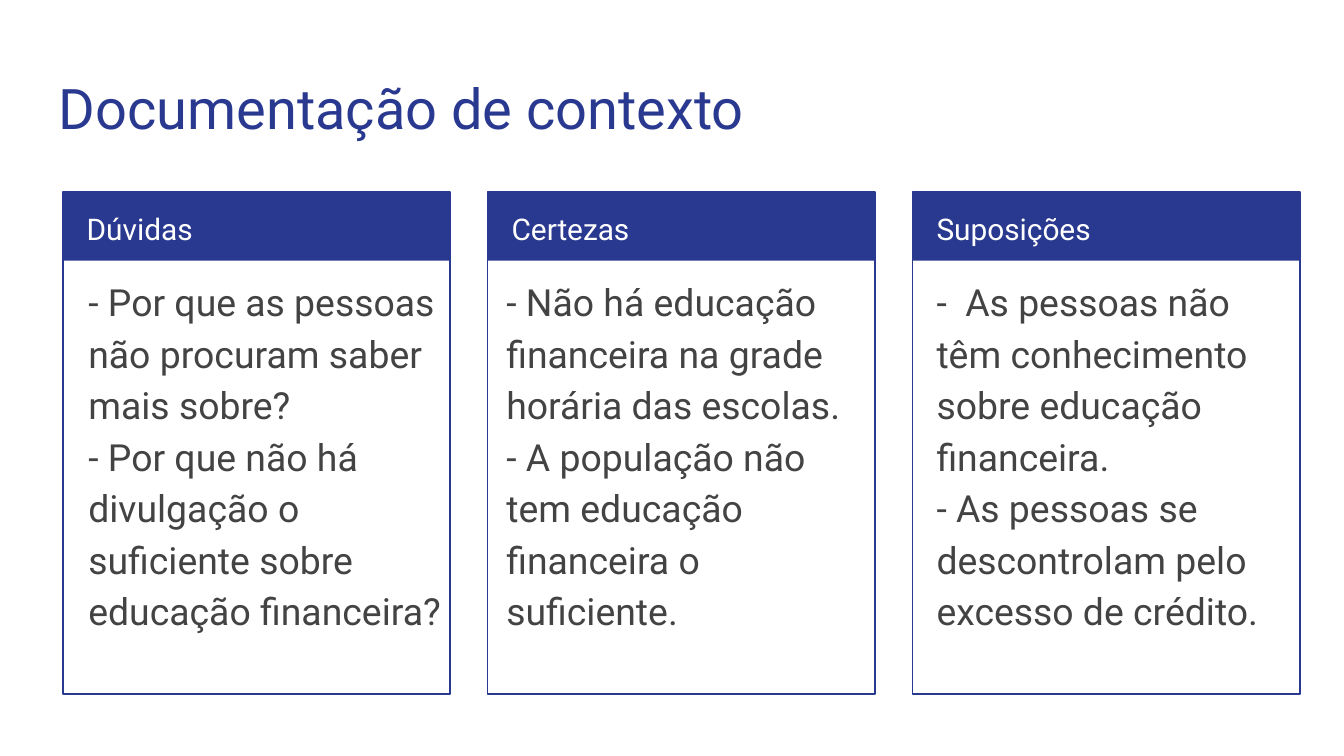
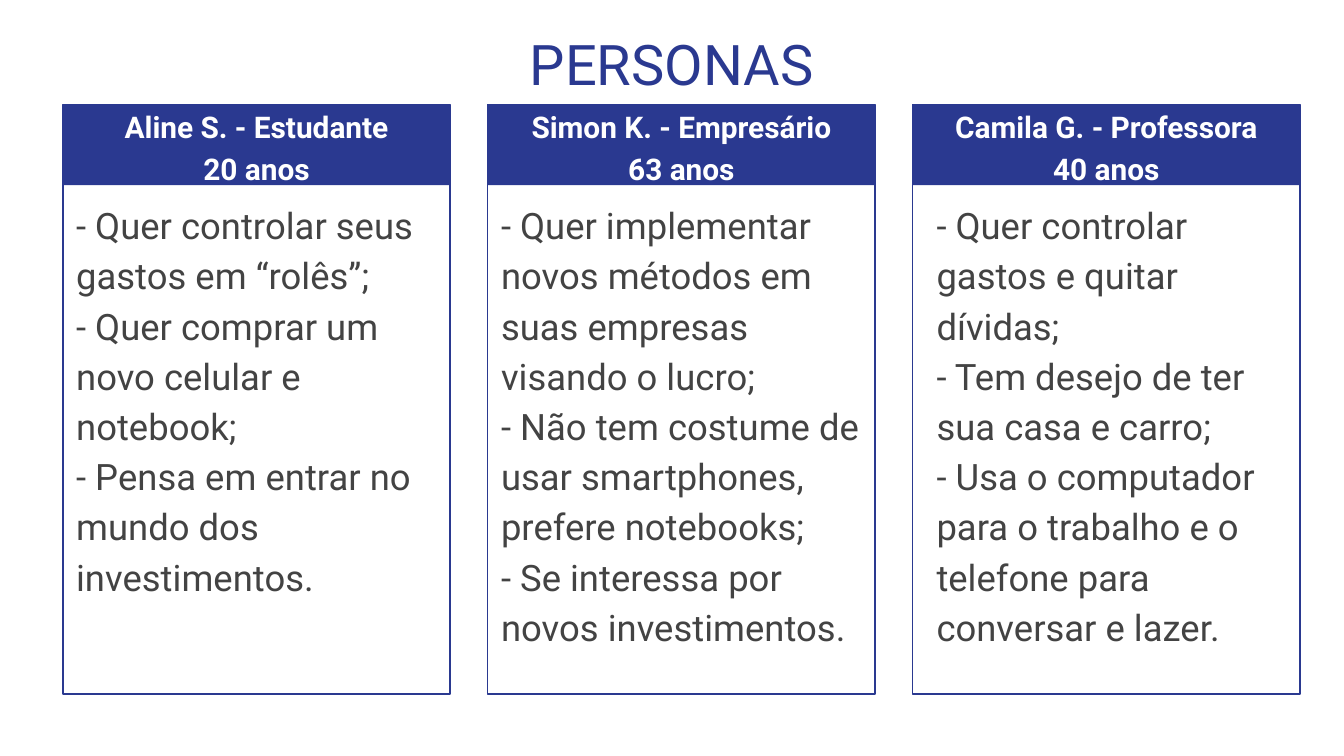
from pptx import Presentation
from pptx.dml.color import RGBColor
from pptx.enum.shapes import MSO_SHAPE
from pptx.enum.text import MSO_ANCHOR, MSO_AUTO_SIZE, PP_ALIGN
from pptx.util import Cm, Pt

BLUE, GREY, WHITE = "2A3990", "434343", "FFFFFF"
LEFT, STEP, WIDTH = 1.19, 8.03, 7.32
BOTTOM = 13.12


def color(code):
    return RGBColor.from_string(code)


class Deck:
    def __init__(self):
        self.prs = Presentation()
        self.prs.slide_width = Cm(25.4)
        self.prs.slide_height = Cm(14.29)
        self.slide = None

    def start(self, title, top, align=PP_ALIGN.LEFT):
        """Add a slide and place its title."""
        self.slide = self.prs.slides.add_slide(self.prs.slide_layouts[5])
        fill = self.slide.background.fill
        fill.solid()
        fill.fore_color.rgb = color(WHITE)
        box = self.slide.shapes.title
        box.left, box.top = Cm(0.86), Cm(top)
        box.width, box.height = Cm(23.67), Cm(1.68)
        self.label(box, [title], 30, BLUE, align=align, space=1.0)

    def label(self, box, lines, size, ink, bold=False,
              align=PP_ALIGN.LEFT, anchor=MSO_ANCHOR.TOP, space=1.15):
        """Fill a box with one styled paragraph per line."""
        frame = box.text_frame
        frame.word_wrap = True
        frame.auto_size = MSO_AUTO_SIZE.NONE
        frame.vertical_anchor = anchor
        frame.margin_left = frame.margin_right = Cm(0.25)
        frame.margin_top = frame.margin_bottom = Cm(0.25)
        frame.text = "\n".join(lines)
        for par in frame.paragraphs:
            par.alignment = align
            par.line_spacing = space
            font = par.font
            font.name, font.size, font.bold = "Roboto", Pt(size), bold
            font.color.rgb = color(ink)

    def text(self, left, top, width, height, lines, size, ink, **style):
        box = self.slide.shapes.add_textbox(
            Cm(left), Cm(top), Cm(width), Cm(height))
        self.label(box, lines, size, ink, **style)

    def card(self, left, top, head):
        """Draw a filled header band and the outline around the column."""
        group = self.slide.shapes.add_group_shape()
        band, frame = (
            group.shapes.add_shape(MSO_SHAPE.RECTANGLE, Cm(left), Cm(top),
                                   Cm(WIDTH), Cm(height))
            for height in (head, BOTTOM - top))
        band.shadow.inherit = frame.shadow.inherit = False
        band.fill.solid()
        band.fill.fore_color.rgb = color(BLUE)
        band.line.fill.background()
        frame.fill.background()
        frame.line.color.rgb = color(BLUE)
        frame.line.width = Pt(0.75)

    def columns(self, cards, top, head, size, inset=0, **style):
        """Lay out cards of (header lines, body lines, body left, body width)."""
        for i, (names, points, start, width) in enumerate(cards):
            left = LEFT + i * STEP
            self.card(left, top, head)
            self.text(left + inset, top, WIDTH - 2 * inset, head,
                      names, 16, WHITE, **style)
            self.text(start, top + head - 0.03, width, BOTTOM - top - head,
                      points, size, GREY)


CONTEXT = [
    (["Dúvidas"],
     ["- Por que as pessoas não procuram saber mais sobre?",
      "- Por que não há divulgação o suficiente sobre educação financeira?"],
     1.42, 7.62),
    (["Certezas"],
     ["- Não há educação financeira na grade horária das escolas.",
      "- A população não tem educação financeira o suficiente."],
     9.32, 7.32),
    (["Suposições"],
     ["-  As pessoas não têm conhecimento sobre educação financeira.",
      "- As pessoas se descontrolam pelo excesso de crédito."],
     17.45, 6.88),
]

PERSONAS = [
    (["Aline S. - Estudante", "20 anos"],
     ["- Quer controlar seus gastos em “rolês”;",
      "- Quer comprar um novo celular e notebook;",
      "- Pensa em entrar no mundo dos investimentos."],
     1.19, 7.32),
    (["Simon K. - Empresário", "63 anos"],
     ["- Quer implementar novos métodos em suas empresas visando o lucro;",
      "- Não tem costume de usar smartphones, prefere notebooks;",
      "- Se interessa por novos investimentos."],
     9.22, 7.32),
    (["Camila G. - Professora", "40 anos"],
     ["- Quer controlar gastos e quitar dívidas;",
      "- Tem desejo de ter sua casa e carro;",
      "- Usa o computador para o trabalho e o telefone para conversar e lazer."],
     17.45, 6.88),
]


def main():
    deck = Deck()
    deck.start("Documentação de contexto", 1.14)
    deck.columns(CONTEXT, 3.63, 1.3, 20, inset=0.2)
    deck.start("PERSONAS", 0.3, PP_ALIGN.CENTER)
    deck.columns(PERSONAS, 1.98, 1.52, 19.5, bold=True,
                 align=PP_ALIGN.CENTER, anchor=MSO_ANCHOR.MIDDLE)
    deck.prs.save("out.pptx")


if __name__ == "__main__":
    main()
